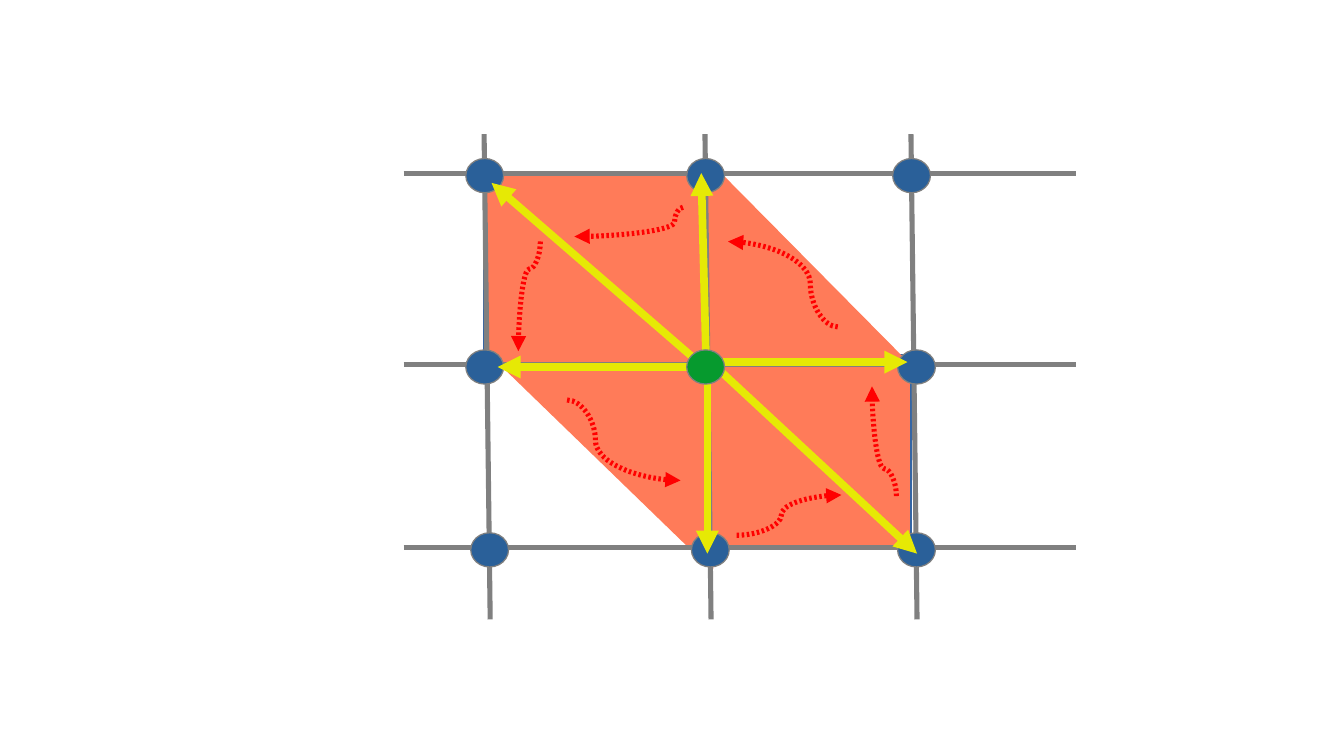
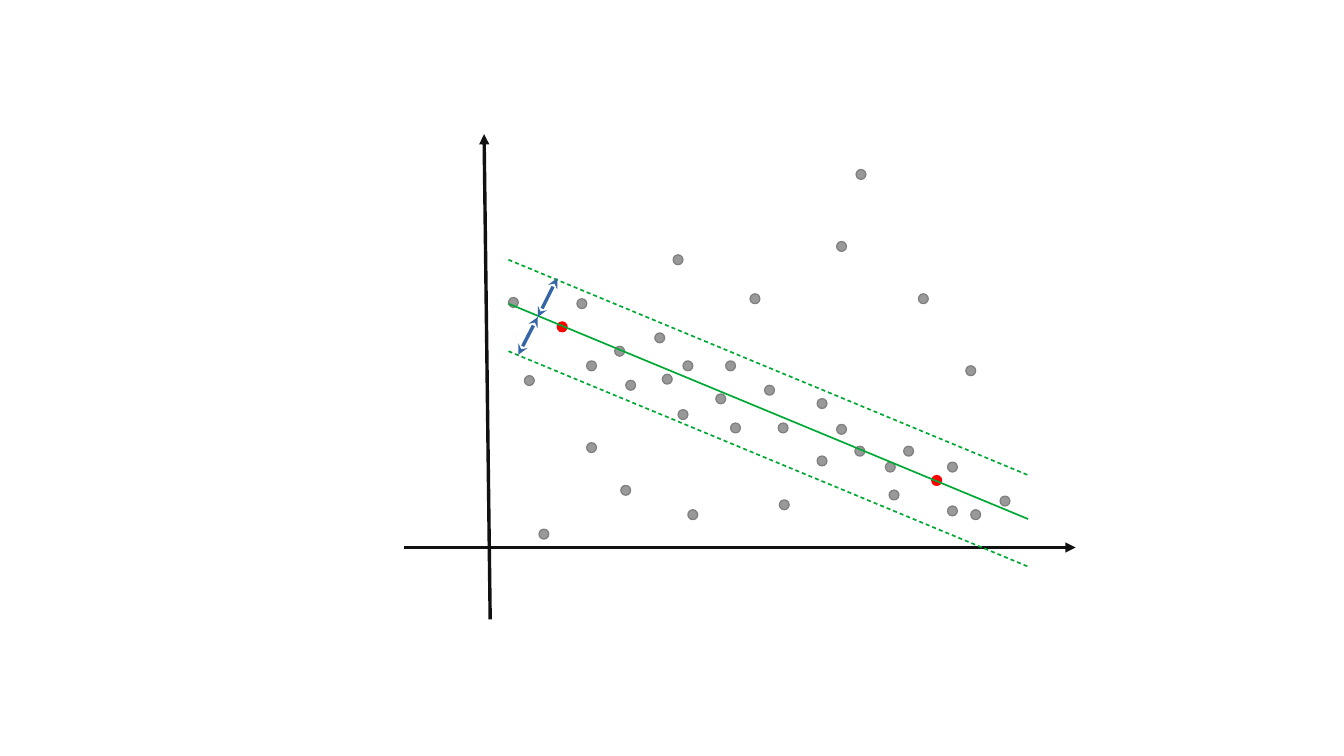
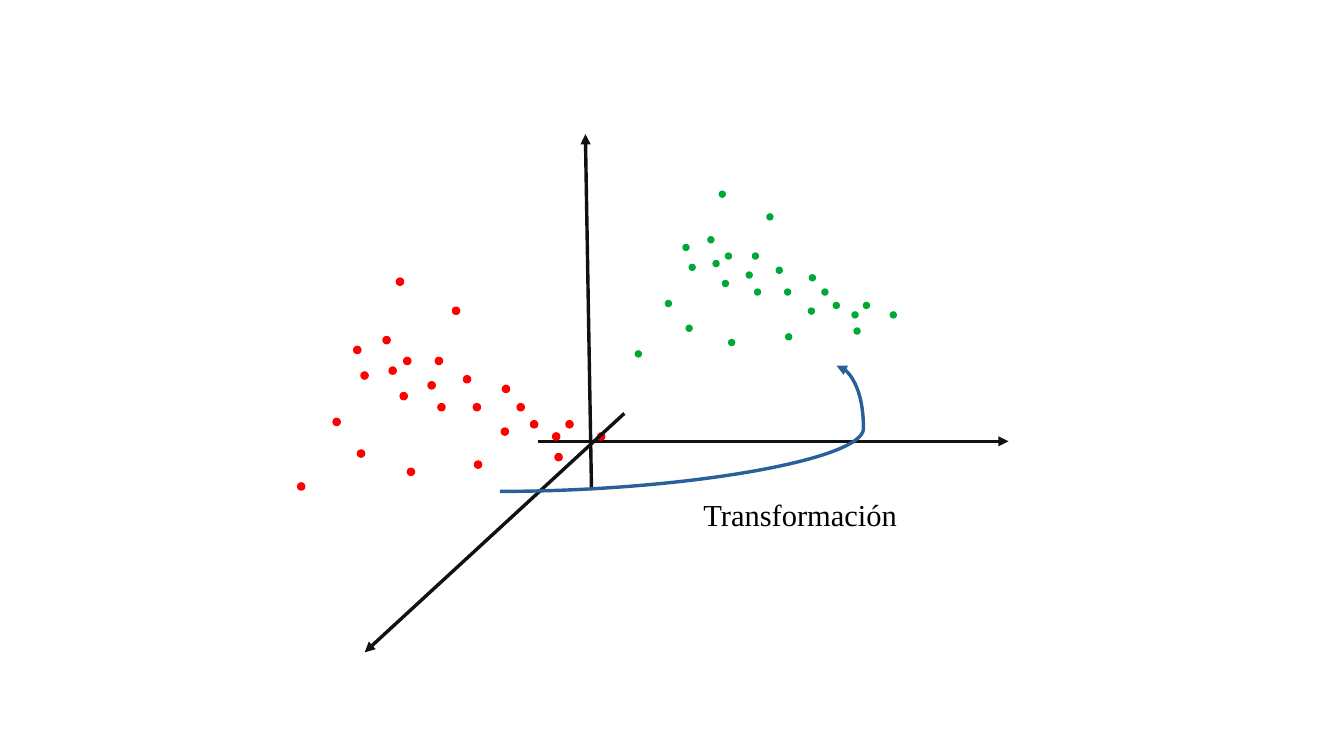
from dataclasses import dataclass

import lxml.etree
import pptx
import pptx.dml.color
import pptx.enum.shapes
import pptx.oxml.ns
import pptx.shapes.autoshape
import pptx.shapes.connector
import pptx.slide
import pptx.util

Pt = pptx.util.Pt
qn = pptx.oxml.ns.qn
RGB = pptx.dml.color.RGBColor
Slide = pptx.slide.Slide
Kind = pptx.enum.shapes.MSO_SHAPE
Wire = pptx.enum.shapes.MSO_CONNECTOR

CORAL = RGB(0xFF, 0x7B, 0x59)
BLUE = RGB(0x34, 0x65, 0xA4)
NAVY = RGB(0x2A, 0x60, 0x99)
GRAY = RGB(0x80, 0x80, 0x80)
SILVER = RGB(0x99, 0x99, 0x99)
YELLOW = RGB(0xE6, 0xE9, 0x05)
RED = RGB(0xFF, 0x00, 0x00)
FOREST = RGB(0x06, 0x9A, 0x2E)
GREEN = RGB(0x00, 0xA9, 0x33)
INK = RGB(0x11, 0x11, 0x11)
BLACK = RGB(0x00, 0x00, 0x00)

Spot = tuple[float, float]
Path = tuple[float, float, float, float]


@dataclass(frozen=True)
class Pen:
    color: RGB
    width: float = 0
    head: str = ""
    tail: str = ""
    dash: tuple[int, int] | None = None


@dataclass(frozen=True)
class Curve:
    left: float
    top: float
    width: float
    height: float
    bend: float
    turn: int = 0
    flip: bool = False


@dataclass(frozen=True)
class Patch:
    kind: Kind
    box: Path
    edge: Pen
    turn: float = 0


@dataclass(frozen=True)
class Dot:
    width: float
    height: float
    fill: RGB
    edge: RGB


GRID = Pen(GRAY, 3)
SPOKE = Pen(YELLOW, 4.5, tail="triangle")
SWIRL = Pen(RED, 3, tail="triangle", dash=(50, 50))
AXIS = Pen(INK, tail="triangle")
FIT = Pen(GREEN, 1)
BAND = Pen(GREEN, 1, dash=(240, 180))
GAP = Pen(BLUE, head="stealth", tail="stealth")
MOVE = Pen(NAVY, tail="triangle")

NODE = Dot(22.3, 20.2, NAVY, GRAY)
HUB = Dot(22.3, 20.2, FOREST, GRAY)
SAMPLE = Dot(5.8, 5.8, SILVER, GRAY)
PICK = Dot(5.8, 5.8, RED, RED)
BEFORE = Dot(4.3, 4.3, RED, RED)
AFTER = Dot(3.6, 3.6, GREEN, GREEN)

PATCHES = [
    Patch(Kind.RECTANGLE, (413.3, 209.5, 124.6, 113), Pen(BLUE)),
    Patch(Kind.RECTANGLE, (285.8, 102.2, 130.3, 113), Pen(BLUE)),
    Patch(Kind.ISOSCELES_TRIANGLE, (362.2, 142.6, 169.2, 85.7), Pen(CORAL, 1.5), 225.3),
    Patch(Kind.ISOSCELES_TRIANGLE, (302.4, 203.8, 171.4, 84.2), Pen(CORAL, 1.5), 44.1),
]
ROWS = [323.3, 215.3, 102.2]
COLS = [289.4, 419.8, 541.4]
LEAN = 3.6
NODES = [
    (275, 206.6), (277.9, 314.6), (408.2, 314.6), (529.9, 314.6),
    (529.9, 206.6), (405.4, 93.6), (275, 93.6), (527, 93.6),
]
SPOKES = [
    (416.9, 215.3, 414, 102.2), (417.6, 213.8, 417.6, 326.9),
    (407.5, 216.7, 293.8, 216.7), (422.6, 213.8, 535.7, 213.8),
    (414, 215.3, 290.2, 108), (421.2, 215.3, 541.4, 326.9),
]
SWIRLS = [
    Curve(339.1, 122.4, 64.1, 17.3, 0.078, 180, True),
    Curve(280.1, 168.5, 64.8, 13, 0.25, 90),
    Curve(489.6, 253.4, 64.8, 14.4, 0.25, 270, True),
    Curve(434.9, 292.3, 61.9, 23.8, 0.427, 0, True),
    Curve(334.8, 236.2, 67, 47.5, 0.25),
    Curve(429.8, 142.6, 64.8, 50.4, 0.25, 180),
]
SAMPLES = [
    (300.2, 175.7), (362.9, 204.5), (391, 221), (422.6, 232.6), (459.4, 249.8),
    (504.7, 263.5), (524.9, 289.4), (573.1, 301), (533.5, 263.5), (482.4, 269.3),
    (482.4, 235.4), (431.3, 249.8), (428.4, 213.1), (403.2, 213.1), (346.3, 213.1),
    (340.6, 176.4), (309.6, 221.8), (346.3, 261.4), (366.5, 286.6), (460.1, 295.2),
    (397.4, 150.5), (442.8, 173.5), (542.2, 173.5), (570.2, 216), (318.2, 312.5),
    (369.4, 224.6), (400.3, 241.9), (386.6, 196.6), (451.4, 227.5), (522.7, 272.9),
    (493.9, 250.6), (559.4, 272.9), (590.4, 293), (505.4, 100.1), (559.4, 298.8),
    (406.1, 301), (493.9, 142.6),
]
PICKS = [(329, 190.1), (550.1, 280.8)]
CLOUD = [
    (208.8, 204.5), (229.7, 216.7), (252.7, 225.4), (279.4, 238.3), (313.2, 248.4),
    (327.6, 267.8), (334.1, 248.4), (295.9, 252.7), (296.6, 227.5), (258.5, 238.3),
    (257, 211), (238.3, 211), (196.6, 247), (211, 265.7), (240.5, 276.5),
    (280.1, 272.2), (234, 164.2), (267.1, 181.4), (175.7, 285.1), (213.1, 219.6),
    (236.2, 231.8), (226.1, 198.7), (273.6, 221.8), (326.2, 255.6), (305.3, 238.3),
    (352.8, 255.6),
]


def add_shape(
    slide: Slide, kind: Kind, box: Path, fill: RGB, edge: Pen
) -> pptx.shapes.autoshape.Shape:
    shape = slide.shapes.add_shape(kind, *map(Pt, box))
    shape.shadow.inherit = False
    shape.fill.solid()
    shape.fill.fore_color.rgb = fill
    shape.line.color.rgb = edge.color
    shape.line.width = Pt(edge.width)
    return shape


def add_dots(slide: Slide, dot: Dot, spots: list[Spot]) -> None:
    for left, top in spots:
        box = (left, top, dot.width, dot.height)
        add_shape(slide, Kind.OVAL, box, dot.fill, Pen(dot.edge))


def add_line(
    slide: Slide, pen: Pen, ends: Path, kind: Wire = Wire.STRAIGHT
) -> pptx.shapes.connector.Connector:
    wire = slide.shapes.add_connector(kind, *map(Pt, ends))
    wire.line.color.rgb = pen.color
    wire.line.width = Pt(pen.width)
    props = wire.element.spPr
    stroke = props.find(qn("a:ln"))
    if pen.dash:
        dash = lxml.etree.SubElement(stroke, qn("a:custDash"))
        on, off = pen.dash
        lxml.etree.SubElement(dash, qn("a:ds"), d=str(on * 1000), sp=str(off * 1000))
    for tag, tip in (("a:headEnd", pen.head), ("a:tailEnd", pen.tail)):
        if tip:
            lxml.etree.SubElement(stroke, qn(tag), type=tip)
    lxml.etree.SubElement(props, qn("a:effectLst"))
    return wire


def add_curve(slide: Slide, pen: Pen, curve: Curve) -> None:
    top, base = curve.top, curve.top + curve.height
    if curve.flip:
        top, base = base, top
    ends = (curve.left, top, curve.left + curve.width, base)
    props = add_line(slide, pen, ends, Wire.CURVE).element.spPr
    if curve.turn:
        props.find(qn("a:xfrm")).set("rot", str(curve.turn * 60000))
    guides = props.find(qn("a:prstGeom")).find(qn("a:avLst"))
    bend = f"val {round(curve.bend * 100000)}"
    lxml.etree.SubElement(guides, qn("a:gd"), name="adj1", fmla=bend)


def draw_mesh(slide: Slide) -> None:
    for patch in PATCHES:
        shape = add_shape(slide, patch.kind, patch.box, CORAL, patch.edge)
        shape.rotation = patch.turn
        if patch.kind == Kind.ISOSCELES_TRIANGLE:
            shape.adjustments[0] = 0.494
    for row in ROWS:
        add_line(slide, GRID, (238.3, row, 635, row))
    for col in COLS:
        add_line(slide, GRID, (col, 365.8, col - LEAN, 79.2))
    add_dots(slide, NODE, NODES)
    for spoke in SPOKES:
        add_line(slide, SPOKE, spoke)
    add_dots(slide, HUB, [(405.4, 206.6)])
    for swirl in SWIRLS:
        add_curve(slide, SWIRL, swirl)


def draw_fit(slide: Slide) -> None:
    add_line(slide, AXIS, (238.3, 323.3, 635, 323.3))
    add_line(slide, AXIS, (289.4, 365.8, 285.8, 79.2))
    add_dots(slide, SAMPLE, SAMPLES)
    add_dots(slide, PICK, PICKS)
    for pen, top in ((FIT, 179.3), (BAND, 153.4), (BAND, 207.4)):
        add_line(slide, pen, (300.2, top, 607, top + 127.2))
    add_line(slide, GAP, (317.5, 187.2, 306, 209.5))
    add_line(slide, GAP, (329, 164.2, 317.5, 187.2))


def draw_shift(slide: Slide) -> None:
    add_line(slide, AXIS, (317.5, 260.6, 595.4, 260.6))
    add_line(slide, AXIS, (349.2, 289.4, 345.6, 79.2))
    add_dots(slide, BEFORE, CLOUD)
    add_line(slide, AXIS, (368.6, 244.1, 215.3, 385.2))
    moved = [(0.85 * x + 225.7, 0.78 * y - 15.2) for x, y in CLOUD]
    add_dots(slide, AFTER, moved)
    add_curve(slide, MOVE, Curve(295.2, 216, 198.7, 74.2, 1.08, 0, True))
    box = slide.shapes.add_textbox(*map(Pt, (408.2, 289.4, 141.8, 32.4)))
    frame = box.text_frame
    frame.word_wrap = True
    frame.text = "Transformación"
    font = frame.paragraphs[0].runs[0].font
    font.name = "Times New Roman"
    font.size = Pt(18)
    font.color.rgb = BLACK


def main() -> None:
    deck = pptx.Presentation()
    deck.slide_width = Pt(793.44)
    deck.slide_height = Pt(446.4)
    for draw in (draw_mesh, draw_fit, draw_shift):
        draw(deck.slides.add_slide(deck.slide_layouts[6]))
    deck.save("out.pptx")


if __name__ == "__main__":
    main()
